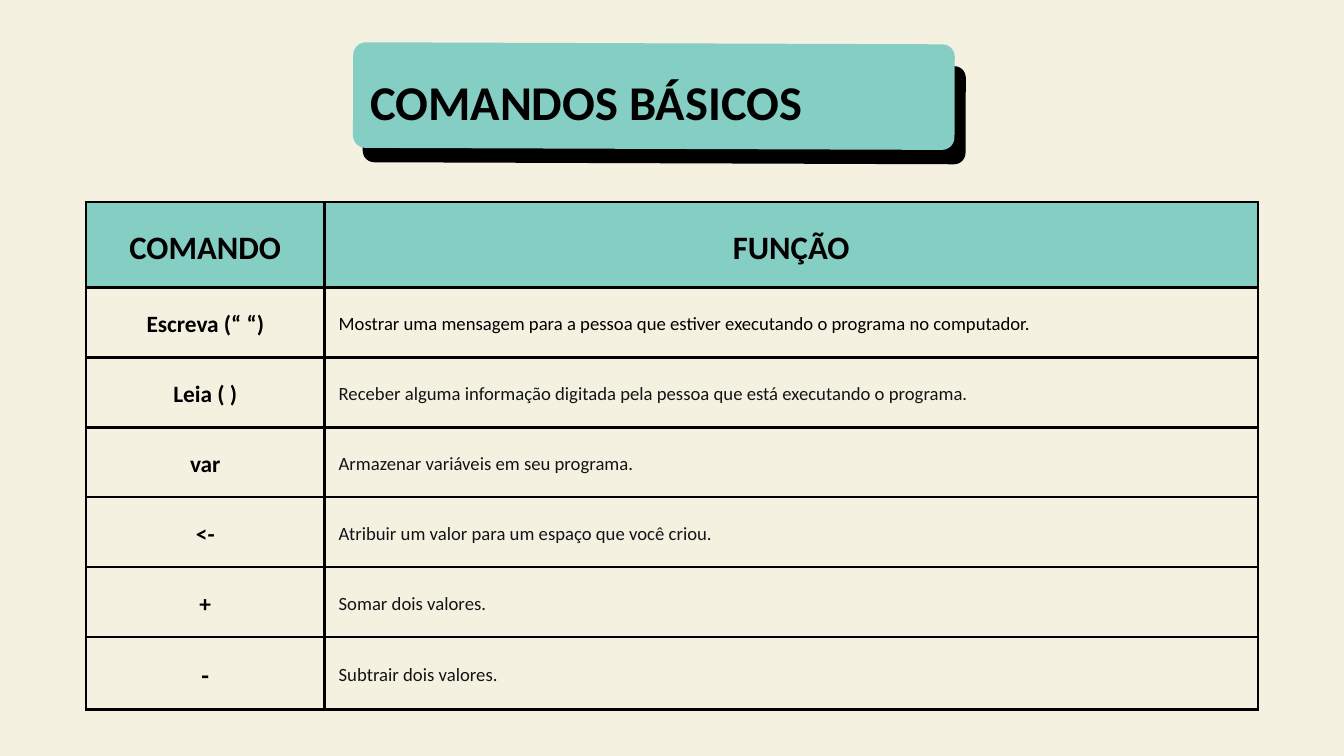
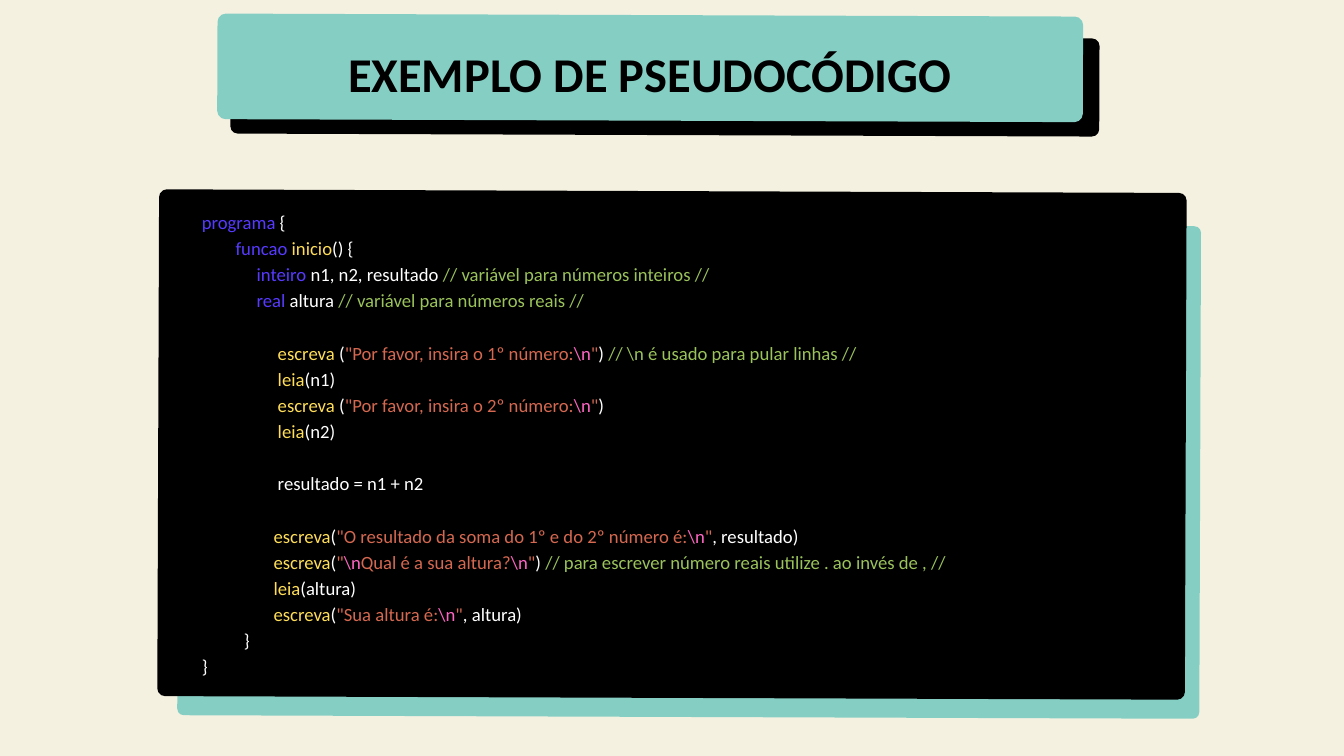
from lxml import etree
from pptx import Presentation
from pptx.dml.color import RGBColor
from pptx.enum.shapes import MSO_SHAPE
from pptx.enum.text import MSO_ANCHOR, MSO_AUTO_SIZE, PP_ALIGN
from pptx.oxml.ns import qn
from pptx.util import Inches, Pt

LEFT, CENTER, JUSTIFY = PP_ALIGN.LEFT, PP_ALIGN.CENTER, PP_ALIGN.JUSTIFY
TOP, MIDDLE = MSO_ANCHOR.TOP, MSO_ANCHOR.MIDDLE
ROUNDED = MSO_SHAPE.ROUNDED_RECTANGLE
NO_AUTOFIT = MSO_AUTO_SIZE.NONE

FONT = "Calibri"
CREAM, TEAL, BLACK, INK = "F5F1E1", "85CEC3", "000000", "121416"
WHITE, KEYWORD, CALL = "FFFFFF", "563AFF", "FFDE59"
COMMENT, STRING, ESCAPE = "9BC35B", "D56850", "FF66C4"
TILT = 0.2
LINE_RATIO = 1.4
SPACE_WIDTH = 0.0628  # one space at 20 pt, in inches


def paint(fill, colour):
    fill.solid()
    fill.fore_color.rgb = RGBColor.from_string(colour)


def add_text(para, text, size=20, colour=BLACK, bold=False, align=LEFT):
    para.alignment = align
    para.line_spacing = Pt(size * LINE_RATIO)
    span = para.add_run()
    span.text = text
    span.font.name = FONT
    span.font.size = Pt(size)
    span.font.bold = bold
    paint(span.font.fill, colour)


deck = Presentation()
deck.slide_width, deck.slide_height = Inches(20), Inches(11.25)
title_only = deck.slide_layouts[5]

# Title, its box and alignment, then panels: place, corner radius, fill, outlined
slides = [
    ("COMANDOS BÁSICOS", (5.51, 0.92, 8.44, 0.94), LEFT, [
        ((5.4, 0.97, 8.97, 1.46), 0.17, BLACK, False),
        ((5.27, 0.66, 8.92, 1.54), 0.17, TEAL, True),
    ]),
    ("EXEMPLO DE PSEUDOCÓDIGO", (3.59, 0.51, 12.16, 0.94), CENTER, [
        ((3.43, 0.55, 12.93, 1.46), 0.11, BLACK, False),
        ((3.25, 0.24, 12.85, 1.54), 0.11, TEAL, True),
        ((2.65, 3.34, 15.21, 7.33), 0.1, TEAL, False),
        ((2.37, 2.86, 15.26, 7.51), 0.1, BLACK, True),
    ]),
]

# Background, tilted panels and title of each slide
pages = []
for heading, place, align, panels in slides:
    page = deck.slides.add_slide(title_only)
    pages.append(page)
    paint(page.background.fill, CREAM)
    for panel_place, radius, colour, outlined in panels:
        panel = page.shapes.add_shape(ROUNDED, *map(Inches, panel_place))
        panel.adjustments[0] = radius / min(panel_place[2:])
        panel.rotation = TILT
        panel.shadow.inherit = False
        paint(panel.fill, colour)
        if outlined:
            paint(panel.line.fill, colour)
            panel.line.width = Pt(2.25)
        else:
            panel.line.fill.background()

    title = page.shapes.title
    title.left, title.top, title.width, title.height = map(Inches, place)
    frame = title.text_frame
    frame.margin_left = frame.margin_right = frame.margin_top = frame.margin_bottom = 0
    frame.vertical_anchor = TOP
    frame.auto_size = NO_AUTOFIT
    add_text(frame.paragraphs[0], heading, size=52, bold=True, align=align)
    page.shapes._spTree.append(title._element)  # bring in front of the panels

commands_page, code_page = pages

# Table of commands
commands = [
    ("COMANDO", "FUNÇÃO"),
    ("Escreva (“ “)", "Mostrar uma mensagem para a pessoa que estiver executando o programa no computador."),
    ("Leia ( )", "Receber alguma informação digitada pela pessoa que está executando o programa."),
    ("var", "Armazenar variáveis em seu programa."),
    ("<-", "Atribuir um valor para um espaço que você criou."),
    ("+", "Somar dois valores."),
    ("-", "Subtrair dois valores."),
]
row_heights = [1.27] + [1.04] * 5 + [1.08]
table = commands_page.shapes.add_table(
    len(commands), 2, Inches(1.28), Inches(3.01), Inches(17.44), Inches(7.53)).table
table.first_row = table.horz_banding = False
table.columns[0].width, table.columns[1].width = Inches(3.55), Inches(13.89)

for row, texts in enumerate(commands):
    table.rows[row].height = Inches(row_heights[row])
    for column, text in enumerate(texts):
        cell = table.cell(row, column)
        cell.vertical_anchor = MIDDLE
        cell.margin_left = cell.margin_right = Inches(0.21)
        cell.margin_top = cell.margin_bottom = Inches(0.21)
        para = cell.text_frame.paragraphs[0]
        if row == 0:
            add_text(para, text, size=35, bold=True, align=CENTER)
        elif column == 0:
            add_text(para, text, size=27 if text == "-" else 25, bold=True, align=CENTER)
        elif row == 1:
            add_text(para, text, align=JUSTIFY)
        else:
            add_text(para, text, colour=INK)

        # Borders come before the fill in the cell properties
        properties = cell._tc.get_or_add_tcPr()
        for side in ("a:lnL", "a:lnR", "a:lnT", "a:lnB"):
            border = etree.SubElement(properties, qn(side), w=str(Pt(3)))
            solid = etree.SubElement(border, qn("a:solidFill"))
            etree.SubElement(solid, qn("a:srgbClr"), val=BLACK)
        paint(cell.fill, TEAL if row == 0 else CREAM)

# Code lines: indent in spaces, blank line above, coloured pieces
code = [
    (1, False, [("programa ", KEYWORD), ("{", WHITE)]),
    (9, False, [("funcao ", KEYWORD), ("inicio", CALL), ("() {", WHITE)]),
    (14, False, [("inteiro ", KEYWORD), ("n1, n2, resultado ", WHITE),
                 ("// variável para números inteiros //", COMMENT)]),
    (14, False, [("real ", KEYWORD), ("altura ", WHITE),
                 ("// variável para números reais //", COMMENT)]),
    (19, True, [("escreva ", CALL), ("(", WHITE), ('"Por favor, insira o 1º número:', STRING),
                ("\\n", ESCAPE), ('"', STRING), (") ", WHITE),
                ("// \\n é usado para pular linhas //", COMMENT)]),
    (19, False, [("leia", CALL), ("(n1)", WHITE)]),
    (19, False, [("escreva ", CALL), ("(", WHITE), ('"Por favor, insira o 2º número:', STRING),
                 ("\\n", ESCAPE), ('"', STRING), (")", WHITE)]),
    (19, False, [("leia", CALL), ("(n2)", WHITE)]),
    (19, True, [("resultado = n1 + n2", WHITE)]),
    (18, True, [("escreva", CALL), ("(", WHITE),
                ('"O resultado da soma do 1º e do 2º número é:', STRING),
                ("\\n", ESCAPE), ('"', STRING), (", resultado)", WHITE)]),
    (18, False, [("escreva", CALL), ("(", WHITE), ('"', STRING), ("\\n", ESCAPE),
                 ("Qual é a sua altura?", STRING), ("\\n", ESCAPE), ('"', STRING), (") ", WHITE),
                 ("// para escrever número reais utilize . ao invés de , //", COMMENT)]),
    (18, False, [("leia", CALL), ("(altura)", WHITE)]),
    (18, False, [("escreva", CALL), ("(", WHITE), ('"Sua altura é:', STRING),
                 ("\\n", ESCAPE), ('"', STRING), (", altura)", WHITE)]),
    (11, False, [("}", WHITE)]),
    (1, False, [("}", WHITE)]),
]
box = code_page.shapes.add_textbox(Inches(2.94), Inches(3.08), Inches(14.64), Inches(7.31))
frame = box.text_frame
frame.word_wrap = True
frame.margin_left = frame.margin_right = frame.margin_top = frame.margin_bottom = 0
for number, (indent, blank_above, pieces) in enumerate(code):
    para = frame.add_paragraph() if number else frame.paragraphs[0]
    para._p.get_or_add_pPr().set("marL", str(Inches(indent * SPACE_WIDTH)))
    if blank_above:
        para.space_before = Pt(20 * LINE_RATIO)
    for text, colour in pieces:
        add_text(para, text, colour=colour, align=JUSTIFY)

deck.save("out.pptx")
